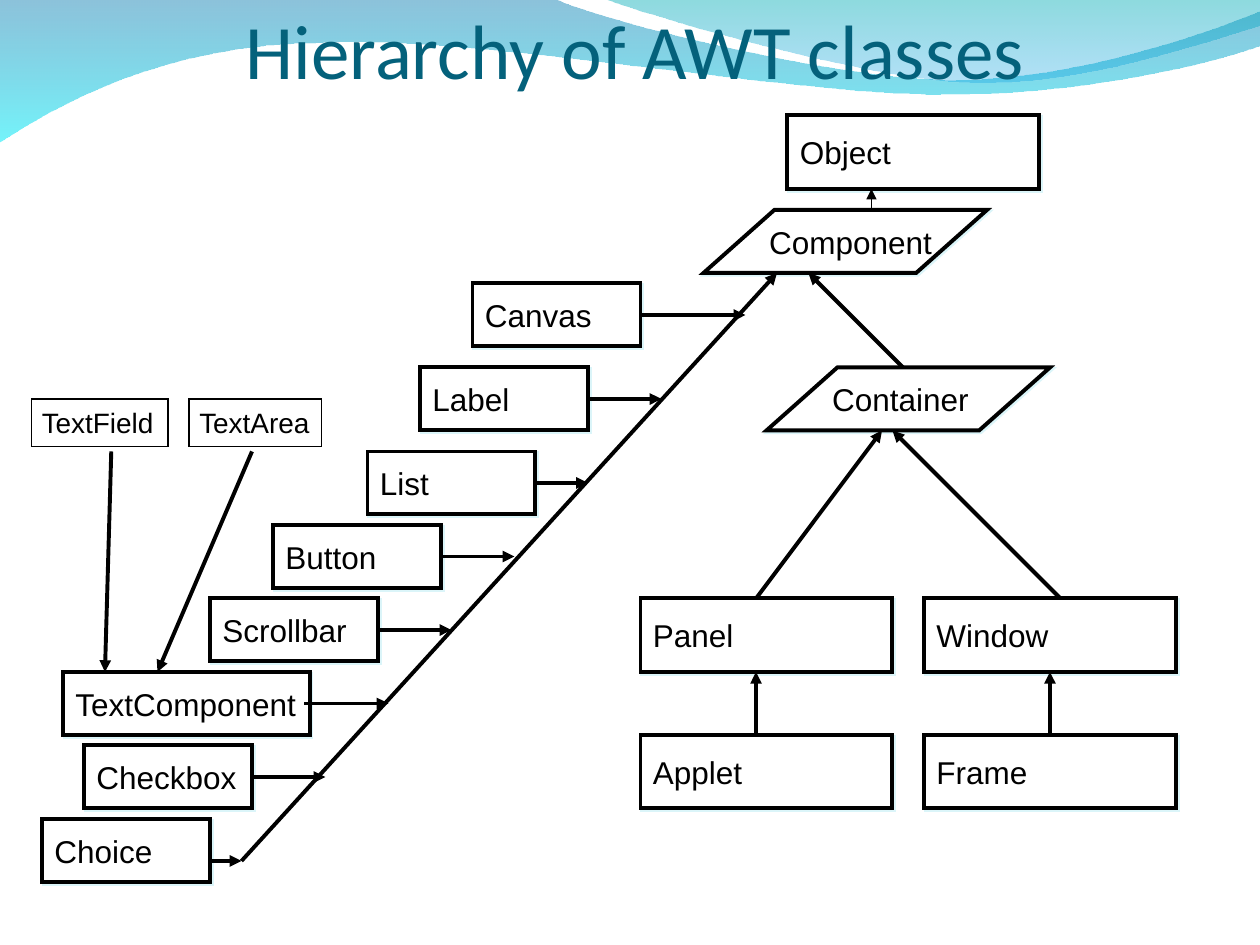
from lxml import etree
from pptx import Presentation, util as u
from pptx.dml import color
from pptx.enum import shapes, text
from pptx.oxml import ns

PX = 7620
BLACK, WHITE = "000000", "FFFFFF"


def rgb(value):
    return color.RGBColor.from_string(value)


def write(frame, words, font, size, ink, align, anchor, insets, wrap):
    frame.word_wrap = wrap
    frame.vertical_anchor = anchor
    frame.margin_left, frame.margin_top, frame.margin_right, frame.margin_bottom = [n * PX for n in insets]
    paragraph = frame.paragraphs[0]
    paragraph.alignment = align
    run = paragraph.add_run()
    run.text = words
    run.font.name = font
    run.font.size = u.Pt(size)
    run.font.color.rgb = rgb(ink)


deck = Presentation()
deck.slide_width, deck.slide_height = 1200 * PX, 900 * PX
slide = deck.slides.add_slide(deck.slide_layouts[5])

waves = [
    ([[(0, -1)], [(528, -1)], [(571, 20), (797, 76), (910, 76)], [(1024, 76), (1150, 31), (1200, 11)],
      [(1201, 43)], [(1180, 53), (1044, 91), (895, 90)], [(746, 90), (458, 34), (308, 41)],
      [(155, 42), (55, 100), (-1, 136)]],
     [("0079AF", 45), ("00EBF8", 55)]),
    ([[(575, -1)], [(611, 13), (818, 74), (923, 78)], [(1027, 83), (1153, 38), (1200, 25)], [(1200, 0)]],
     [("00ADB6", 45), ("009BE5", 30)]),
]
for outline, gradient in waves:
    builder = slide.shapes.build_freeform(*outline[0][0], scale=PX)
    builder.add_line_segments([point for part in outline[1:] for point in part], close=True)
    wave = builder.convert_to_shape()
    segments = iter(list(wave.element.spPr.iter(ns.qn("a:lnTo"))))
    for part in outline[1:]:
        pieces = [next(segments) for point in part]
        if len(pieces) == 3:
            curve = etree.Element(ns.qn("a:cubicBezTo"))
            pieces[0].addprevious(curve)
            for piece in pieces:
                curve.append(piece[0])
                piece.getparent().remove(piece)
    wave.shadow.inherit = False
    wave.line.fill.background()
    wave.fill.gradient()
    wave.fill.gradient_angle = 270
    for stop, (tint, opacity) in zip(wave.fill.gradient_stops, gradient):
        stop.color.rgb = rgb(tint)
    for tone, (tint, opacity) in zip(wave.element.spPr.iter(ns.qn("a:srgbClr")), gradient):
        etree.SubElement(tone, ns.qn("a:alpha"), val=str(opacity * 1000))

title = slide.shapes.title
title.left, title.top, title.width, title.height = 50 * PX, 0, 1110 * PX, 90 * PX
write(title.text_frame, "Hierarchy of AWT classes", font="Calibri", size=44, ink="04617B",
      align=text.PP_ALIGN.CENTER, anchor=text.MSO_ANCHOR.BOTTOM, insets=(0, 6, 0, 0), wrap=True)
title.element.getparent().append(title.element)

RECT, SLANT = shapes.MSO_SHAPE.RECTANGLE, shapes.MSO_SHAPE.PARALLELOGRAM
classes = [
    ("Object", RECT, 750, 110, 240, 70),
    ("Component", SLANT, 670, 200, 270, 60),
    ("Container", SLANT, 730, 350, 270, 60),
    ("Window", RECT, 880, 570, 240, 70),
    ("Frame", RECT, 880, 700, 240, 70),
    ("Panel", RECT, 610, 570, 240, 70),
    ("Applet", RECT, 610, 700, 240, 70),
    ("Label", RECT, 400, 350, 160, 60),
    ("Canvas", RECT, 450, 270, 160, 60),
    ("Scrollbar", RECT, 200, 570, 160, 60),
    ("Choice", RECT, 40, 780, 160, 60),
    ("List", RECT, 350, 430, 160, 60),
    ("Button", RECT, 260, 500, 160, 60),
    ("Checkbox", RECT, 80, 710, 160, 60),
    ("TextComponent", RECT, 60, 640, 235, 60),
    ("TextArea", RECT, 180, 380, 126, 45),
    ("TextField", RECT, 30, 380, 130, 45),
]
for name, outline, left, top, width, height in classes:
    small = name in ("TextArea", "TextField")
    parent = slide.shapes.add_group_shape().shapes if small else slide.shapes
    node = parent.add_shape(outline, left * PX, top * PX, width * PX, height * PX)
    if outline == SLANT:
        node.adjustments[0] = 1.125
    node.fill.solid()
    node.fill.fore_color.rgb = rgb(WHITE)
    node.line.color.rgb = rgb(BLACK)
    node.line.width = u.Pt(0.75 if small else 2.25)
    etree.SubElement(node.element.spPr.find(ns.qn("a:ln")), ns.qn("a:miter"), lim="800000")
    node.shadow.inherit = False
    label = node
    if small:
        label = parent.add_textbox((left - 2) * PX, top * PX, (width + 4) * PX, 44 * PX)
        label.text_frame.auto_size = text.MSO_AUTO_SIZE.SHAPE_TO_FIT_TEXT
    else:
        effects = node.element.spPr.find(ns.qn("a:effectLst"))
        shadow = etree.SubElement(effects, ns.qn("a:outerShdw"), dist=str(u.Pt(1.4)), dir="2700000")
        etree.SubElement(shadow, ns.qn("a:srgbClr"), val="DBF5F9")
    write(label.text_frame, name, font="Arial", size=16 if small else 18, ink=BLACK,
          align=text.PP_ALIGN.LEFT, anchor=text.MSO_ANCHOR.MIDDLE, insets=(12, 6, 12, 6), wrap=False)

inheritance = [
    (740, 260, 230, 820, 2.25, "headEnd"),
    (860, 350, 770, 260, 2.25, "tailEnd"),
    (720, 570, 840, 410, 2.25, "tailEnd"),
    (720, 700, 720, 640, 2.25, "tailEnd"),
    (1010, 570, 850, 410, 2.25, "tailEnd"),
    (1000, 700, 1000, 640, 2.25, "tailEnd"),
    (830, 200, 830, 180, 0.75, "tailEnd"),
    (610, 300, 710, 300, 2.25, "tailEnd"),
    (560, 380, 630, 380, 2.25, "tailEnd"),
    (510, 460, 560, 460, 2.25, "tailEnd"),
    (420, 530, 490, 530, 2.25, "tailEnd"),
    (360, 600, 430, 600, 2.25, "tailEnd"),
    (290, 670, 370, 670, 2.25, "tailEnd"),
    (240, 740, 310, 740, 2.25, "tailEnd"),
    (200, 820, 230, 820, 2.25, "tailEnd"),
    (106, 430, 100, 640, 2.25, "tailEnd"),
    (240, 430, 150, 640, 2.25, "tailEnd"),
]
for *ends, weight, tip in inheritance:
    arrow = slide.shapes.add_connector(shapes.MSO_CONNECTOR.STRAIGHT, *[n * PX for n in ends])
    arrow.line.color.rgb = rgb(BLACK)
    arrow.line.width = u.Pt(weight)
    etree.SubElement(arrow.element.spPr.find(ns.qn("a:ln")), ns.qn("a:" + tip), type="triangle")
    etree.SubElement(arrow.element.spPr, ns.qn("a:effectLst"))

deck.save("out.pptx")
